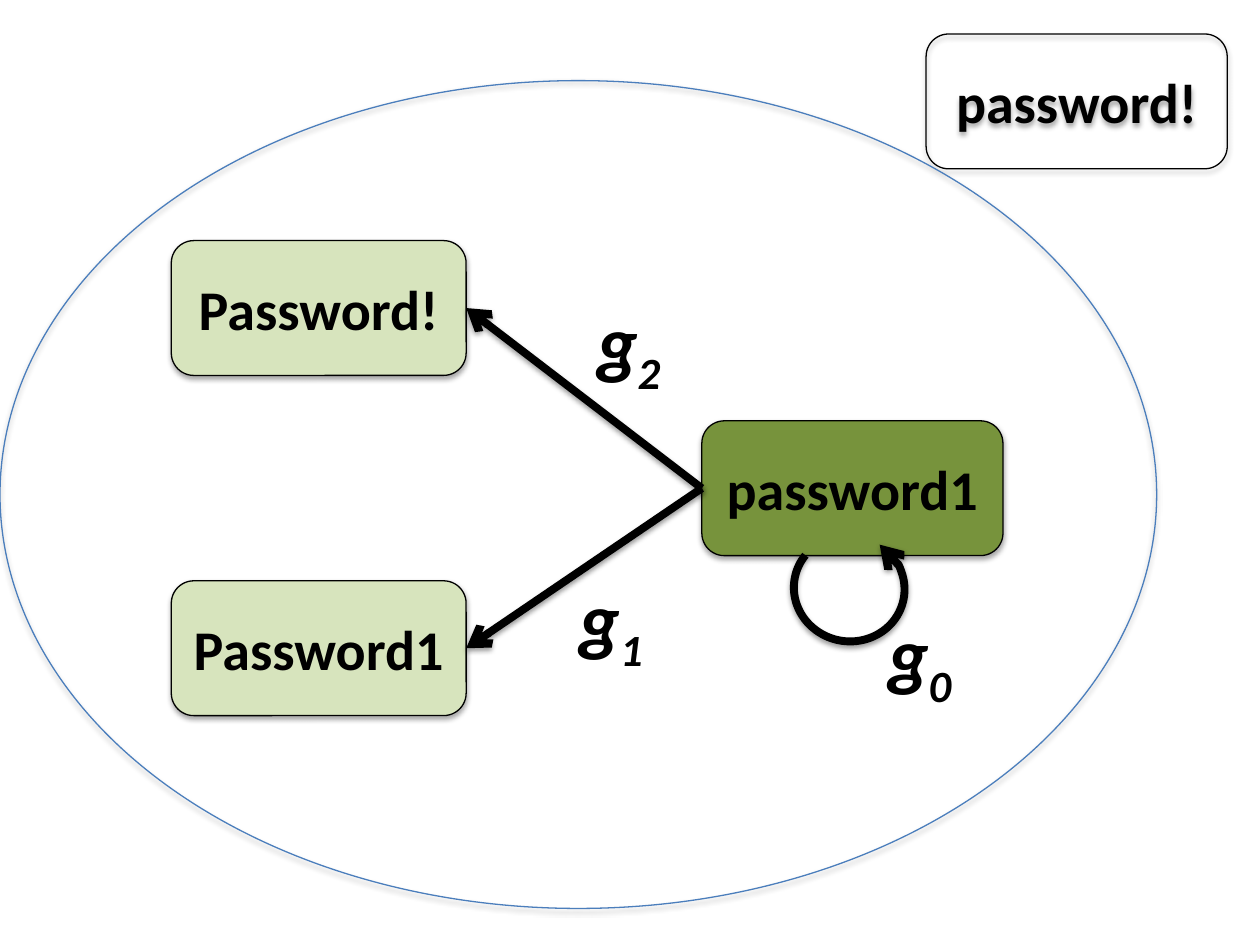
from lxml import etree
from pptx import Presentation, util as u
from pptx.dml.color import RGBColor
from pptx.enum import shapes, text
from pptx.oxml import ns

BLACK, LIGHT, DARK, BLUE = "000000", "D7E4BD", "77933C", "4B7EBC"


def rgb(value):
    return RGBColor.from_string(value)


def add_child(parent, tag, **attributes):
    return etree.SubElement(parent, ns.qn(tag), attributes)


class Diagram:
    """Draws password graph elements on a grid of 100 columns by 75 rows."""

    label_style = {"name": "Calibri", "size": u.Pt(32), "bold": True}
    edge_style = {"name": "Calibri", "size": u.Pt(44), "bold": True, "italic": True}
    thin, thick = 0.75, 4.5

    def __init__(self, deck):
        self.slide = deck.slides.add_slide(deck.slide_layouts[6])
        self.column = deck.slide_width / 100
        self.row = deck.slide_height / 75

    def place(self, left, top, width, height):
        return [round(n * unit) for n, unit in
                zip((left, top, width, height), (self.column, self.row) * 2)]

    def add_words(self, paragraph, words, style):
        run = paragraph.add_run()
        run.text = words
        for key, value in style.items():
            setattr(run.font, key, value)
        run.font.color.rgb = rgb(BLACK)
        return run

    def outline(self, item, color, width, arrow=None, alpha=35, distance=1.8):
        item.line.color.rgb = rgb(color)
        item.line.width = u.Pt(width)
        properties = item._element.spPr
        if arrow:
            add_child(properties.get_or_add_ln(), arrow, type="arrow")
        effects = add_child(properties, "a:effectLst")
        shadow = add_child(effects, "a:outerShdw", blurRad=str(u.Pt(3.1)),
                           dist=str(u.Pt(distance)), dir="5400000", rotWithShape="0")
        tint = add_child(shadow, "a:srgbClr", val=BLACK)
        add_child(tint, "a:alpha", val=str(alpha * 1000))

    def figure(self, kind, area, fill=None):
        item = self.slide.shapes.add_shape(kind, *self.place(*area))
        if fill:
            item.fill.solid()
            item.fill.fore_color.rgb = rgb(fill)
        else:
            item.fill.background()
        return item

    def node(self, words, left, top, width, fill=None):
        item = self.figure(shapes.MSO_SHAPE.ROUNDED_RECTANGLE, (left, top, width, 10.7), fill)
        self.outline(item, BLACK, self.thin)
        item.text_frame.vertical_anchor = text.MSO_ANCHOR.MIDDLE
        paragraph = item.text_frame.paragraphs[0]
        paragraph.alignment = text.PP_ALIGN.CENTER
        self.add_words(paragraph, words, self.label_style)
        return item

    def edge(self, source, target):
        item = self.slide.shapes.add_connector(shapes.MSO_CONNECTOR.STRAIGHT, 0, 0, 0, 0)
        item.begin_connect(source, 1)
        item.end_connect(target, 3)
        self.outline(item, BLACK, self.thick, "a:tailEnd", 38, 1.6)

    def loop(self, *area):
        item = self.figure(shapes.MSO_SHAPE.ARC, area)
        item.adjustments[0], item.adjustments[1] = 176.03, 123.37
        item.rotation = 11.5
        self.outline(item, BLACK, self.thick, "a:headEnd", 38, 1.6)

    def edge_label(self, index, left, top):
        frame = self.slide.shapes.add_textbox(*self.place(left, top, 8.7, 8.4)).text_frame
        frame.word_wrap = False
        frame.auto_size = text.MSO_AUTO_SIZE.SHAPE_TO_FIT_TEXT
        paragraph = frame.paragraphs[0]
        self.add_words(paragraph, "g", self.edge_style)
        subscript = self.add_words(paragraph, index, self.edge_style)
        subscript._r.get_or_add_rPr().set("baseline", "-25000")

    def boundary(self, *area):
        self.outline(self.figure(shapes.MSO_SHAPE.OVAL, area), BLUE, self.thin)


def main():
    deck = Presentation()
    deck.slide_width, deck.slide_height = u.Inches(10), u.Inches(7.5)
    diagram = Diagram(deck)
    capital_digit = diagram.node("Password1", 13.6, 46.1, 23.4, LIGHT)
    base = diagram.node("password1", 55.7, 33.4, 23.9, DARK)
    diagram.node("password!", 73.5, 2.7, 23.9)
    capital_mark = diagram.node("Password!", 13.6, 19.1, 23.4, LIGHT)
    diagram.edge(base, capital_digit)
    diagram.edge_label("1", 45, 44.8)
    diagram.edge_label("2", 46.4, 22.8)
    diagram.loop(63, 42.5, 8.8, 8.4)
    diagram.edge_label("0", 69.5, 47.6)
    diagram.edge(base, capital_mark)
    diagram.boundary(0, 6.4, 91.8, 65.7)
    deck.save("out.pptx")


if __name__ == "__main__":
    main()
